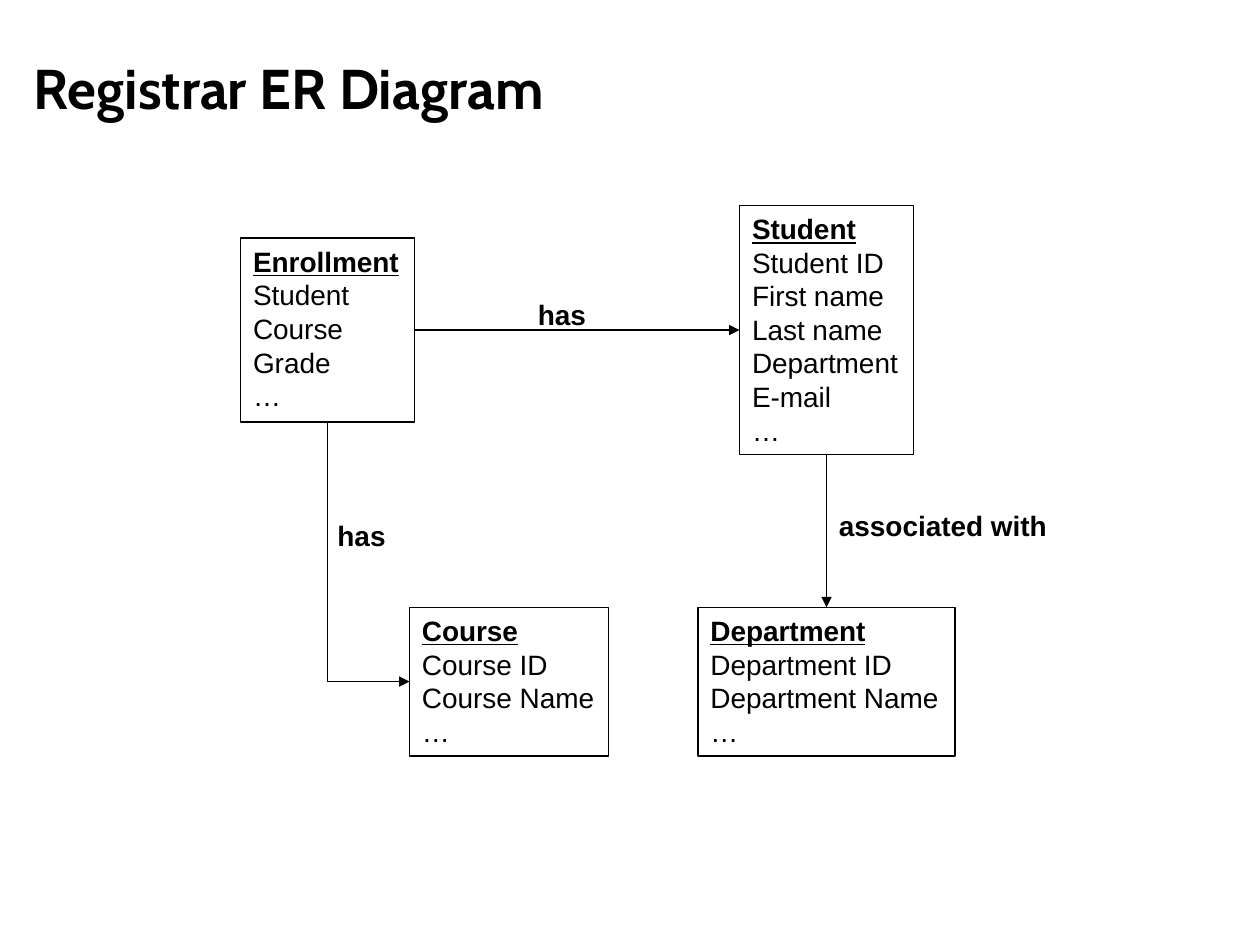
from pptx import Presentation
from pptx.dml.color import RGBColor
from pptx.enum.shapes import MSO_CONNECTOR, MSO_SHAPE
from pptx.enum.text import MSO_ANCHOR, MSO_AUTO_SIZE, PP_ALIGN
from pptx.oxml.ns import qn
from pptx.util import Inches, Pt
from lxml.etree import SubElement

BLACK = "000000"
TITLE = "Registrar ER Diagram"
# name: (left, top, width, height, attributes)
ENTITIES = {
    "Enrollment": (1.91, 1.89, 1.38, 1.46, ["Student", "Course", "Grade", "…"]),
    "Student": (5.87, 1.63, 1.38, 1.98,
                ["Student ID", "First name", "Last name", "Department", "E-mail", "…"]),
    "Course": (3.25, 4.82, 1.58, 1.18, ["Course ID", "Course Name", "…"]),
    "Department": (5.54, 4.82, 2.04, 1.18, ["Department ID", "Department Name", "…"]),
}
TOP, LEFT, BOTTOM, RIGHT = range(4)  # connection sites of a rectangle
RELATIONS = [
    ("Enrollment", RIGHT, "Student", LEFT),
    ("Enrollment", BOTTOM, "Course", LEFT),
    ("Student", BOTTOM, "Department", TOP),
]
# text, left, top, width, height
LABELS = [
    ("has", 4.17, 2.31, 0.58, 0.37),
    ("has", 2.58, 4.07, 0.58, 0.37),
    ("associated with", 6.56, 3.99, 1.86, 0.37),
]


def rgb(value):
    return RGBColor.from_string(value)


def write(p, text, size=16, font="Arial", color=BLACK, bold=False, underline=False):
    p.alignment = PP_ALIGN.LEFT
    r = p.add_run()
    r.text = text
    r.font.size, r.font.name = Pt(size), font
    r.font.bold, r.font.underline = bold, underline
    r.font.color.rgb = rgb(color)


def fit_to_text(tf):
    tf.word_wrap = False
    tf.auto_size = MSO_AUTO_SIZE.SHAPE_TO_FIT_TEXT


def add_entity(s, name, left, top, width, height, attributes):
    sp = s.shapes.add_shape(MSO_SHAPE.RECTANGLE, *map(Inches, (left, top, width, height)))
    sp.shadow.inherit = False
    sp.fill.background()
    sp.line.color.rgb = rgb(BLACK)
    sp.line.width = Pt(0.75)
    tf = sp.text_frame
    fit_to_text(tf)
    tf.vertical_anchor = MSO_ANCHOR.TOP
    write(tf.paragraphs[0], name, bold=True, underline=True)
    for attribute in attributes:
        write(tf.add_paragraph(), attribute)
    return sp


def bend_down_then_right(cxn):
    """Turn a connector into one corner: a flipped bentConnector2 rotated by 270°."""
    cx, cy = cxn.left + cxn.width // 2, cxn.top + cxn.height // 2
    cxn.width, cxn.height = cxn.height, cxn.width
    cxn.left, cxn.top = cx - cxn.width // 2, cy - cxn.height // 2
    spPr = cxn._element.spPr
    xfrm = spPr.find(qn("a:xfrm"))
    xfrm.set("rot", "16200000")
    xfrm.set("flipH", "1")
    spPr.find(qn("a:prstGeom")).set("prst", "bentConnector2")


def add_relation(s, source, source_site, target, target_site):
    bent = (source_site, target_site) == (BOTTOM, LEFT)
    kind = MSO_CONNECTOR.ELBOW if bent else MSO_CONNECTOR.STRAIGHT
    cxn = s.shapes.add_connector(kind, 0, 0, 0, 0)
    cxn.begin_connect(source, source_site)
    cxn.end_connect(target, target_site)
    if bent:
        bend_down_then_right(cxn)
    cxn.line.color.rgb = rgb(BLACK)
    cxn.line.width = Pt(0.75)
    SubElement(cxn.line._get_or_add_ln(), qn("a:tailEnd"), type="triangle")
    SubElement(cxn._element.spPr, qn("a:effectLst"))


def main():
    prs = Presentation()
    prs.slide_width, prs.slide_height = Inches(10), Inches(7.5)
    s = prs.slides.add_slide(prs.slide_layouts[6])

    tf = s.shapes.add_textbox(*map(Inches, (0.17, 0.13, 9.5, 1.12))).text_frame
    tf.word_wrap = True
    tf.vertical_anchor = MSO_ANCHOR.MIDDLE
    write(tf.paragraphs[0], TITLE, size=32, font="Cabin", bold=True)

    boxes = {name: add_entity(s, name, *layout) for name, layout in ENTITIES.items()}
    for source, source_site, target, target_site in RELATIONS:
        add_relation(s, boxes[source], source_site, boxes[target], target_site)
    for text, *place in LABELS:
        tf = s.shapes.add_textbox(*map(Inches, place)).text_frame
        fit_to_text(tf)
        write(tf.paragraphs[0], text, bold=True)

    prs.save("out.pptx")


if __name__ == "__main__":
    main()
